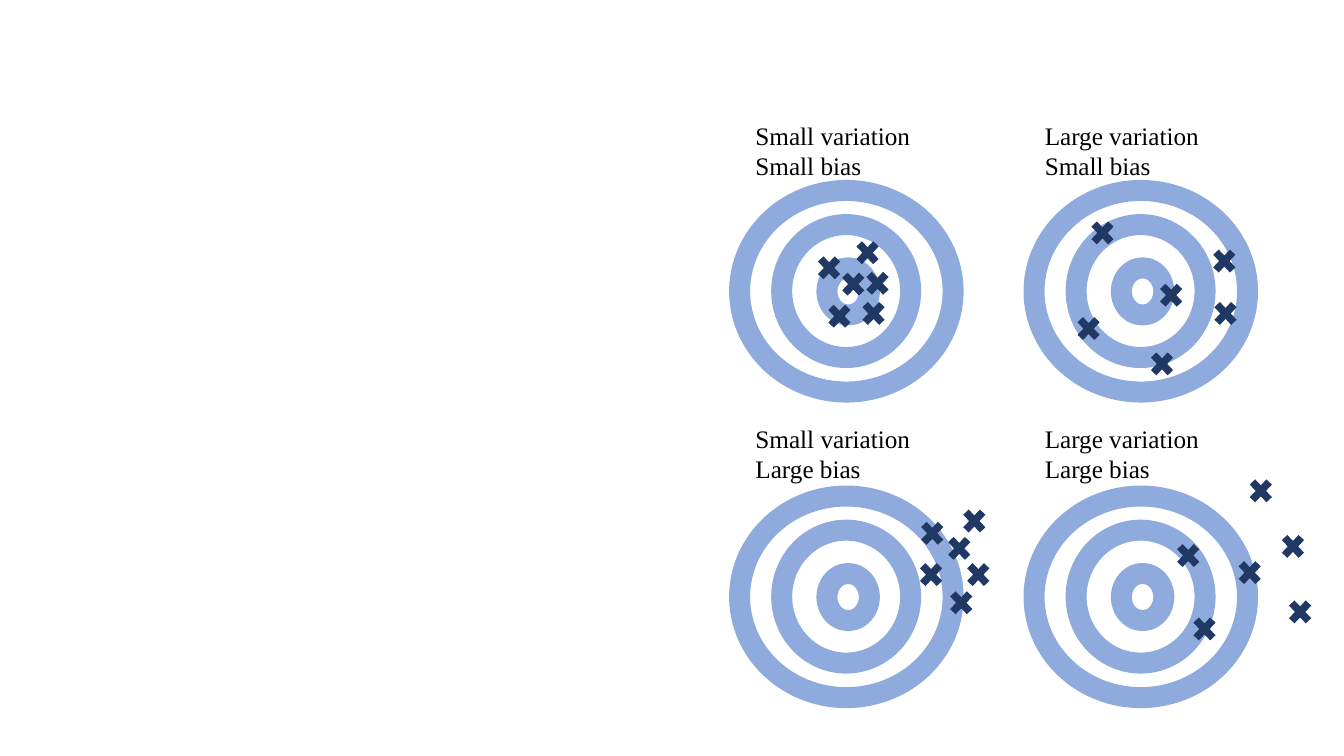
from dataclasses import dataclass

from pptx import Presentation
from pptx import util as u
from pptx.dml import color
from pptx.enum import shapes, text

TARGETS = [
    (0, 0, ["Small variation", "Small bias"],
     [(3.07, 1.91), (2.97, 2.67), (2.11, 2.74),
      (1.85, 1.52), (2.46, 1.93), (2.82, 1.14)]),
    (0, 1, ["Large variation", "Small bias"],
     [(4.39, 1.35), (3.05, 2.21), (0.97, 3.05),
      (1.32, 0.64), (2.82, 3.94), (4.42, 2.67)]),
    (1, 0, ["Small variation", "Large bias"],
     [(5.61, 1.55), (5.51, 0.2), (4.42, 1.55),
      (4.45, 0.51), (5.13, 0.89), (5.18, 2.26)]),
    (1, 1, ["Large variation", "Large bias"],
     [(3.48, 1.07), (3.89, 2.92), (5.03, 1.5),
      (6.12, 0.84), (6.3, 2.49), (5.31, -0.56)]),
]
RINGS = [(0, 0, 5.38, 5.08), (1.06, 0.86, 3.25, 3.35), (2.2, 1.95, 1.07, 1.19)]
MARK = (0.81, 0.86)
LABEL = (4.67, 1.8)


@dataclass(frozen=True)
class Theme:
    ring: str = "8FAADC"
    mark: str = "203864"
    ink: str = "000000"
    font: str = "Times New Roman"
    size: int = 18
    stroke: int = 15


theme = Theme()


def rgb(code):
    return color.RGBColor.from_string(code)


def add_text(group, lines, box, *, size, ink, font):
    frame = group.shapes.add_textbox(*map(u.Cm, box)).text_frame
    frame.word_wrap = True
    frame.auto_size = text.MSO_AUTO_SIZE.SHAPE_TO_FIT_TEXT
    frame.text = "\n".join(lines)
    for para in frame.paragraphs:
        for run in para.runs:
            run.font.size = u.Pt(size)
            run.font.name = font
            run.font.color.rgb = rgb(ink)


def add_form(group, kind, box, *, fill=None, line=None):
    form = group.shapes.add_shape(kind, *map(u.Cm, box))
    form.shadow.inherit = False
    if fill:
        form.fill.solid()
        form.fill.fore_color.rgb = rgb(fill)
    else:
        form.fill.background()
    if line:
        form.line.color.rgb = rgb(line)
        form.line.width = u.Pt(theme.stroke)
    else:
        form.line.fill.background()


def add_target(slide, row, col, lines, marks):
    left, top = 18.64 + 7.42 * col, 4.8 + 7.7 * row
    group = slide.shapes.add_group_shape()
    for x, y, wide, high in RINGS:
        add_form(group, shapes.MSO_SHAPE.OVAL,
                 (left + x, top + y, wide, high), line=theme.ring)
    for x, y in marks:
        add_form(group, shapes.MSO_SHAPE.MATH_MULTIPLY,
                 (left + x, top + y, *MARK), fill=theme.mark)
    add_text(group, lines, (18.79 + 7.29 * col, 2.9 + 7.64 * row, *LABEL),
             size=theme.size, ink=theme.ink, font=theme.font)


def main():
    deck = Presentation()
    deck.slide_width, deck.slide_height = u.Cm(33.87), u.Cm(19.05)
    slide = deck.slides.add_slide(deck.slide_layouts[6])
    for target in TARGETS:
        add_target(slide, *target)
    deck.save("out.pptx")


if __name__ == "__main__":
    main()
